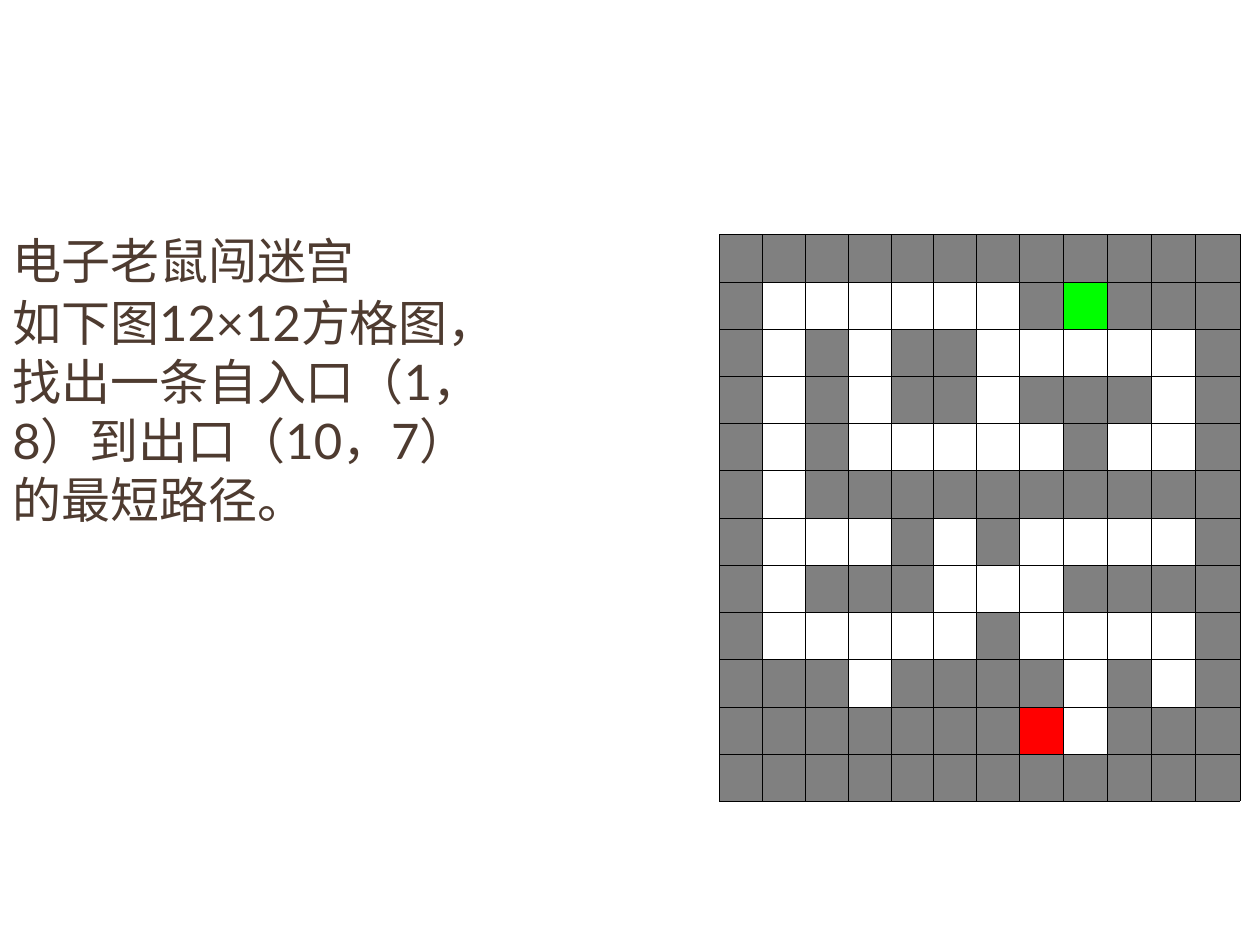
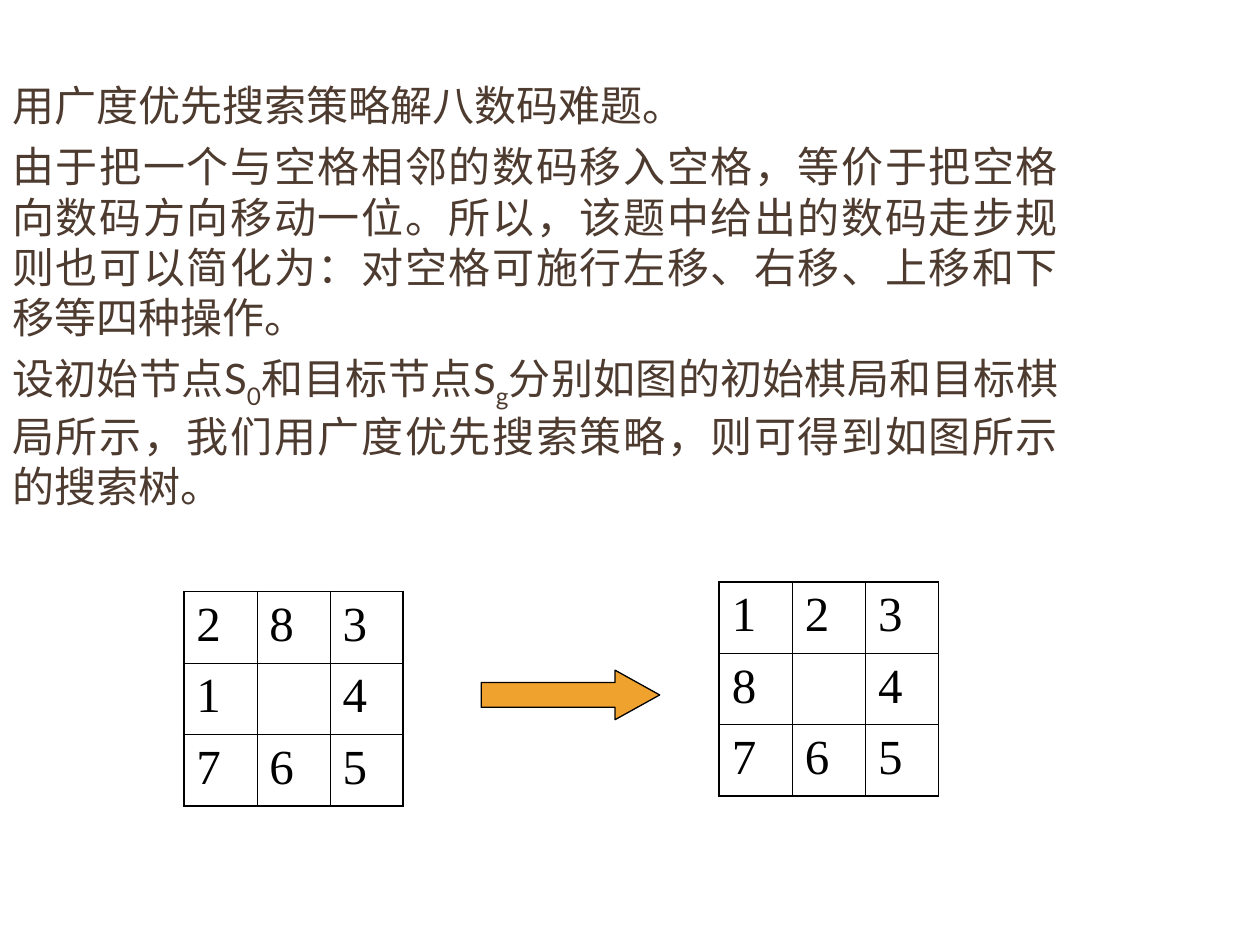
from dataclasses import dataclass

from lxml import etree
from pptx import Presentation
from pptx.dml.color import RGBColor
from pptx.enum import shapes, text
from pptx.oxml import ns
from pptx.util import Pt

BROWN = RGBColor(0x4E, 0x3B, 0x30)
BLACK = RGBColor(0x00, 0x00, 0x00)
WALL = RGBColor(0x80, 0x80, 0x80)
ENTRANCE = RGBColor(0x00, 0xFF, 0x00)
EXIT = RGBColor(0xFF, 0x00, 0x00)
ORANGE = RGBColor(0xF0, 0xA2, 0x2E)

BODY_FONT = "Lato"
DIGIT_FONT = "Times New Roman"
SUBSCRIPT = "-25000"


@dataclass(frozen=True)
class Piece:
    wording: str
    lowered: bool = False


@dataclass(frozen=True)
class Paragraph:
    pieces: tuple[Piece, ...]
    space_before: float


@dataclass(frozen=True)
class Body:
    top: float
    width: float
    height: float
    size: float
    align: text.PP_ALIGN
    paragraphs: tuple[Paragraph, ...]


@dataclass(frozen=True)
class Grid:
    left: float
    top: float
    widths: tuple[float, ...]
    row_height: float
    rows: tuple[str, ...]
    outer_line: float
    inner_line: float


MAZE_FILLS = {"#": WALL, "E": ENTRANCE, "X": EXIT}

MAZE_BODY = Body(128, 294.5, 352, 28, text.PP_ALIGN.LEFT, (
    Paragraph((Piece("电子老鼠闯迷宫"),), 7),
    Paragraph((Piece("如下图12×12方格图，找出一条自入口（1，8）到出口（10，7）的最短路径。"),), 2.2),
))

MAZE = Grid(411, 134, (24.5,) * 7 + (25.2,) * 5, 27, (
    "############",
    "#......#E###",
    "#.#.##.....#",
    "#.#.##.###.#",
    "#.#.....#..#",
    "#.##########",
    "#...#.#....#",
    "#.###...####",
    "#.....#....#",
    "###.####.#.#",
    "#######X.###",
    "############",
), 0.23, 0.23)

PUZZLE_BODY = Body(42, 612, 262, 24, text.PP_ALIGN.JUSTIFY, (
    Paragraph((Piece("用广度优先搜索策略解八数码难题。"),), 6),
    Paragraph((Piece(
        "由于把一个与空格相邻的数码移入空格，等价于把空格向数码方向移动一位。"
        "所以，该题中给出的数码走步规则也可以简化为："
        "对空格可施行左移、右移、上移和下移等四种操作。"),), 6),
    Paragraph((
        Piece("设初始节点S"), Piece("0", True),
        Piece("和目标节点S"), Piece("g", True),
        Piece("分别如图的初始棋局和目标棋局所示，我们用广度优先搜索策略，则可得到如图所示的搜索树。"),
    ), 6),
))


def puzzle_board(left: float, top: float, rows: tuple[str, ...]) -> Grid:
    return Grid(left, top, (41.8,) * 3, 40.8, rows, 1.08, 0.45)


START_BOARD = puzzle_board(105, 338, ("283", "1 4", "765"))
GOAL_BOARD = puzzle_board(411, 332.5, ("123", "8 4", "765"))


def add_run(paragraph, wording: str, font: str, size: float, colour: RGBColor):
    run = paragraph.add_run()
    run.text = wording
    run.font.name = font
    run.font.size = Pt(size)
    run.font.color.rgb = colour
    return run


def draw_body(slide, body: Body) -> None:
    box = slide.shapes.add_textbox(0, Pt(body.top), Pt(body.width), Pt(body.height))
    frame = box.text_frame
    frame.word_wrap = True
    for index, content in enumerate(body.paragraphs):
        paragraph = frame.add_paragraph() if index else frame.paragraphs[0]
        paragraph.alignment = body.align
        paragraph.space_before = Pt(content.space_before)
        for piece in content.pieces:
            run = add_run(paragraph, piece.wording, BODY_FONT, body.size, BROWN)
            if piece.lowered:
                run._r.get_or_add_rPr().set("baseline", SUBSCRIPT)


def set_borders(cell, widths: dict[str, float]) -> None:
    properties = cell._tc.get_or_add_tcPr()
    for position, (side, width) in enumerate(widths.items()):
        line = etree.Element(ns.qn(f"a:ln{side}"), w=str(Pt(width)))
        fill = etree.SubElement(line, ns.qn("a:solidFill"))
        etree.SubElement(fill, ns.qn("a:srgbClr"), val=str(BLACK))
        properties.insert(position, line)


def draw_grid(slide, grid: Grid):
    row_count, column_count = len(grid.rows), len(grid.widths)
    table = slide.shapes.add_table(
        row_count, column_count, Pt(grid.left), Pt(grid.top),
        Pt(sum(grid.widths)), Pt(grid.row_height * row_count)).table
    table.first_row = table.horz_banding = False
    for column, width in zip(table.columns, grid.widths):
        column.width = Pt(width)
    for r, row in enumerate(table.rows):
        row.height = Pt(grid.row_height)
        for c, cell in enumerate(row.cells):
            cell.fill.background()
            on_edge = {"L": c == 0, "R": c == column_count - 1,
                       "T": r == 0, "B": r == row_count - 1}
            set_borders(cell, {side: grid.outer_line if edge else grid.inner_line
                               for side, edge in on_edge.items()})
    return table


def draw_maze(slide, grid: Grid) -> None:
    for cell, mark in zip(draw_grid(slide, grid).iter_cells(), "".join(grid.rows)):
        cell.margin_left = cell.margin_right = cell.margin_top = cell.margin_bottom = 0
        if mark in MAZE_FILLS:
            cell.fill.solid()
            cell.fill.fore_color.rgb = MAZE_FILLS[mark]


def draw_puzzle(slide, grid: Grid) -> None:
    for cell, digit in zip(draw_grid(slide, grid).iter_cells(), "".join(grid.rows)):
        if digit.strip():
            add_run(cell.text_frame.paragraphs[0], digit, DIGIT_FONT, 28, BLACK)


def draw_move_arrow(slide) -> None:
    arrow = slide.shapes.add_shape(
        shapes.MSO_SHAPE.RIGHT_ARROW, Pt(275), Pt(383), Pt(102), Pt(28.3))
    arrow.adjustments[0] = 0.5
    arrow.adjustments[1] = 0.9
    arrow.shadow.inherit = False
    arrow.fill.solid()
    arrow.fill.fore_color.rgb = ORANGE
    arrow.line.color.rgb = BLACK
    arrow.line.width = Pt(0.74)


deck = Presentation()
deck.slide_width, deck.slide_height = Pt(720), Pt(540)
blank = deck.slide_layouts[6]

maze_slide = deck.slides.add_slide(blank)
draw_body(maze_slide, MAZE_BODY)
draw_maze(maze_slide, MAZE)

puzzle_slide = deck.slides.add_slide(blank)
draw_body(puzzle_slide, PUZZLE_BODY)
draw_puzzle(puzzle_slide, START_BOARD)
draw_puzzle(puzzle_slide, GOAL_BOARD)
draw_move_arrow(puzzle_slide)

deck.save("out.pptx")
